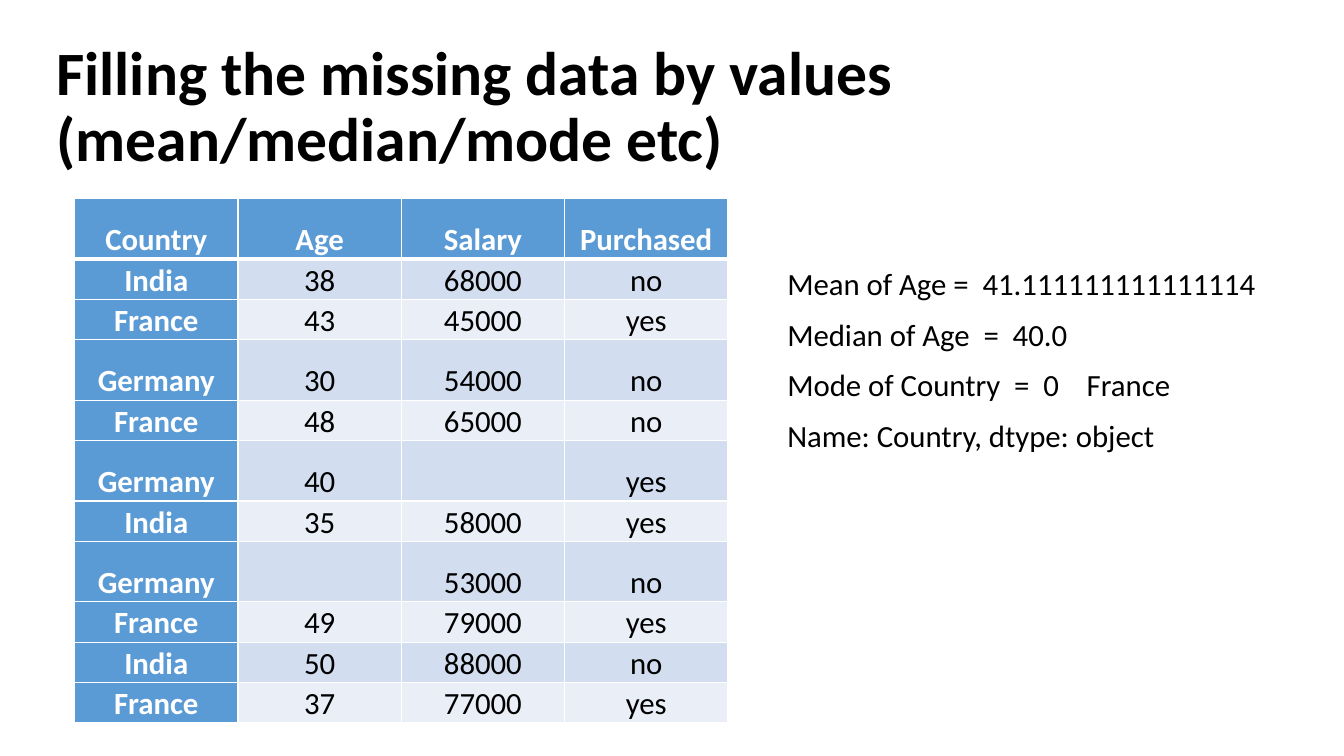
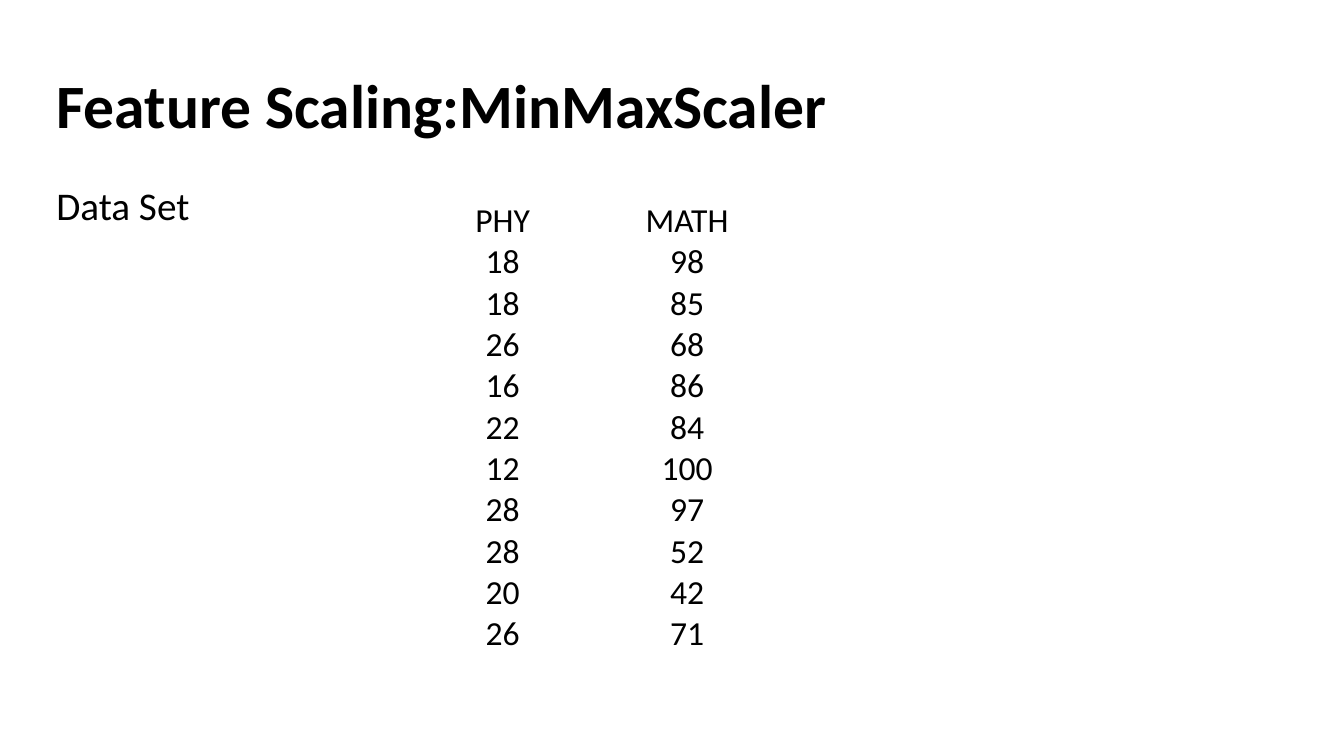
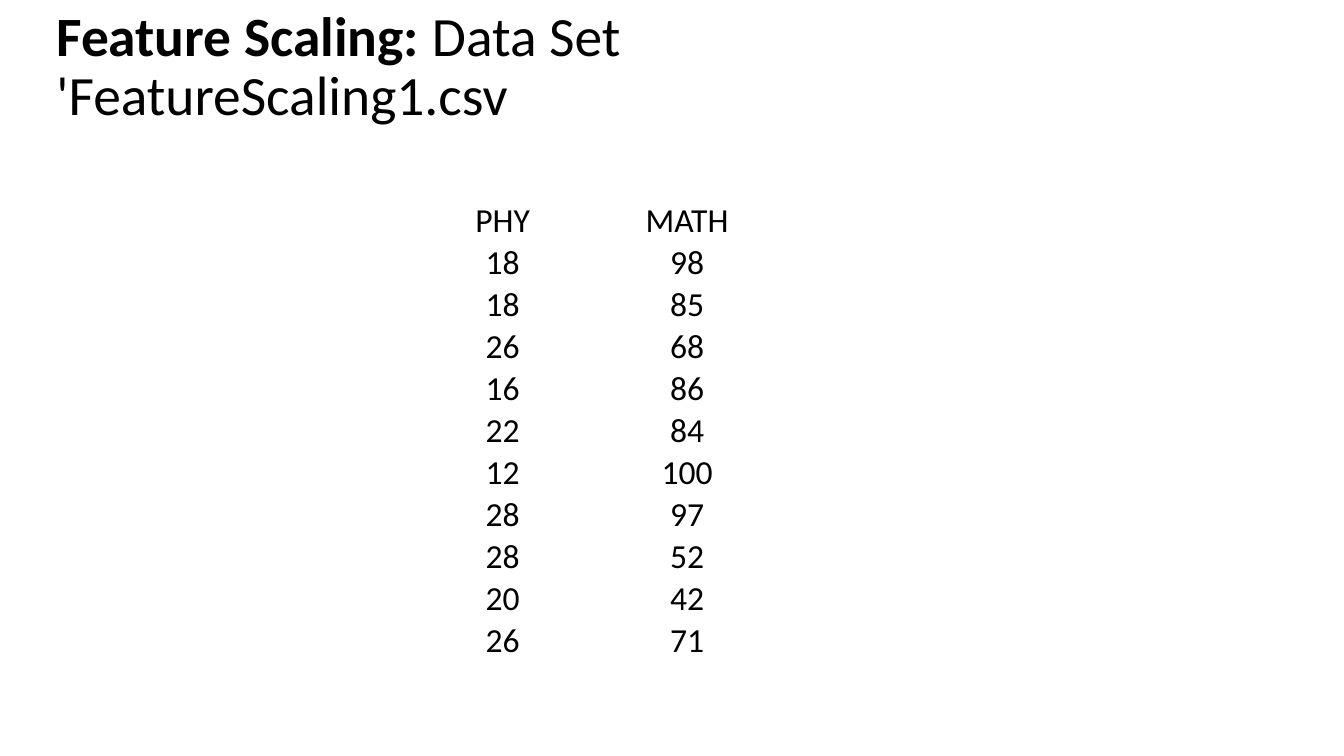
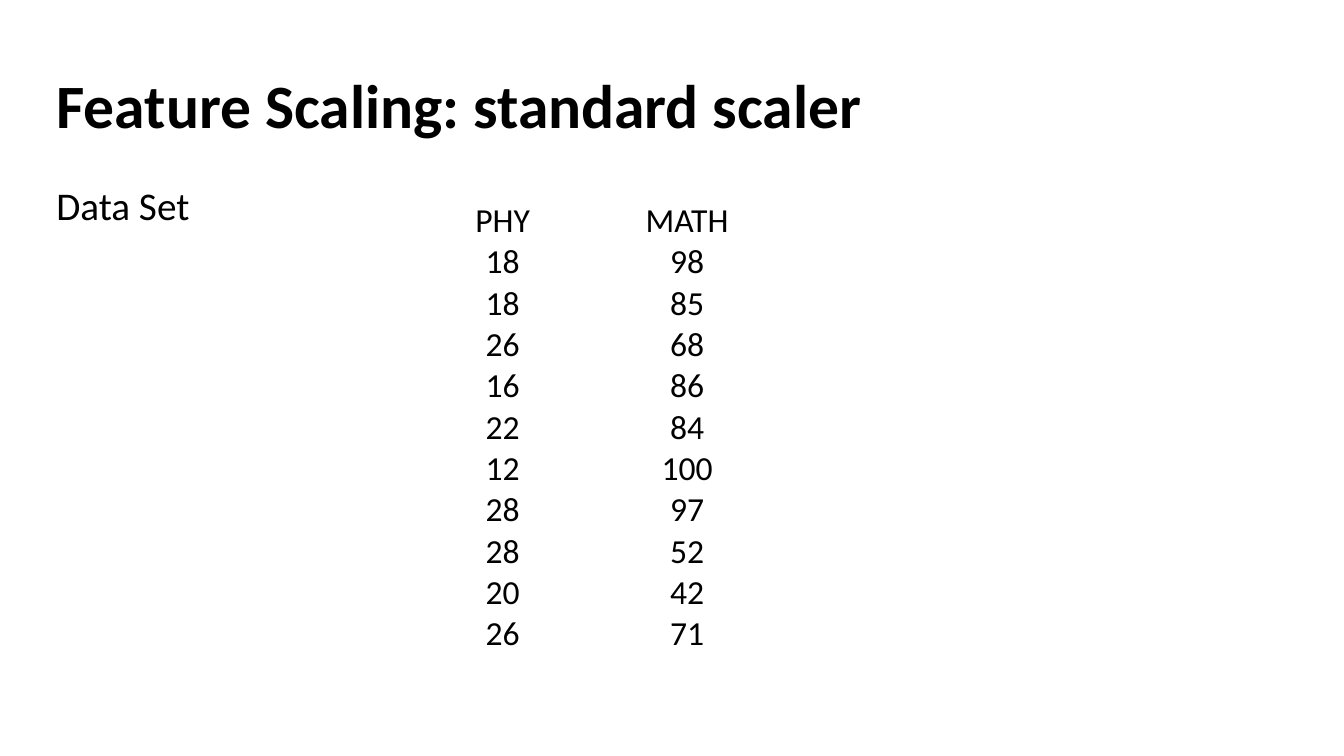
from pptx import Presentation
from pptx.dml.color import RGBColor
from pptx.enum.text import MSO_ANCHOR as Anchor, MSO_AUTO_SIZE as AutoSize, PP_ALIGN as Align
from pptx.oxml import parse_xml
from pptx.oxml.ns import nsdecls
from pptx.util import Inches, Pt

BLACK = RGBColor(0x00, 0x00, 0x00)
WHITE = RGBColor(0xFF, 0xFF, 0xFF)
BLUE = RGBColor(0x5B, 0x9B, 0xD5)
BANDS = (RGBColor(0xEA, 0xEF, 0xF7), RGBColor(0xD2, 0xDE, 0xEF))

PEOPLE = [
    ("Country", "Age", "Salary", "Purchased"),
    ("India", "38", "68000", "no"),
    ("France", "43", "45000", "yes"),
    ("Germany", "30", "54000", "no"),
    ("France", "48", "65000", "no"),
    ("Germany", "40", "", "yes"),
    ("India", "35", "58000", "yes"),
    ("Germany", "", "53000", "no"),
    ("France", "49", "79000", "yes"),
    ("India", "50", "88000", "no"),
    ("France", "37", "77000", "yes"),
]
MARKS = [
    ("PHY", "MATH"), ("18", "98"), ("18", "85"), ("26", "68"), ("16", "86"), ("22", "84"),
    ("12", "100"), ("28", "97"), ("28", "52"), ("20", "42"), ("26", "71"),
]
STATISTICS = [
    "Mean of Age =  41.111111111111114",
    "Median of Age  =  40.0",
    "Mode of Country  =  0    France",
    "Name: Country, dtype: object",
]


class DeckBuilder:
    font_name = "Calibri"
    left = 0.46

    def __init__(self):
        self.deck = Presentation()
        self.deck.slide_width, self.deck.slide_height = Inches(13.33), Inches(7.5)
        self.slide = None

    def style(self, para, size, color=BLACK, bold=False, align=Align.LEFT, line=1.0):
        para.alignment = align
        para.line_spacing = line
        for span in para.runs:
            font = span.font
            font.name, font.size, font.bold = self.font_name, Pt(size), bold
            font.color.rgb = color

    def new_slide(self, title, size=44, top=0.35):
        """Start a slide and return its title shape."""
        self.slide = self.deck.slides.add_slide(self.deck.slide_layouts[5])
        box = self.slide.shapes.title
        box.left, box.top = Inches(self.left), Inches(top)
        box.width, box.height = Inches(10.2), Inches(1.8 - top)
        frame = box.text_frame
        frame.text = title
        frame.word_wrap = True
        frame.auto_size = AutoSize.NONE
        frame.vertical_anchor = Anchor.MIDDLE
        self.style(frame.paragraphs[0], size, bold=True, line=0.9)
        return box

    def text(self, lines, left, top, width, height, size, line, before=0, after=0):
        box = self.slide.shapes.add_textbox(Inches(left), Inches(top), Inches(width), Inches(height))
        frame = box.text_frame
        frame.word_wrap = True
        frame.text = "\n".join(lines)
        for para in frame.paragraphs:
            self.style(para, size, line=line)
            para.space_before, para.space_after = Pt(before), Pt(after)

    def data_set_label(self):
        self.text(["Data Set"], self.left, 1.8, 12.31, 4.76, size=28, line=0.9, before=10)

    def table(self, rows, left, top, column_width, heights):
        frame = self.slide.shapes.add_table(
            len(rows), len(rows[0]), Inches(left), Inches(top),
            Inches(column_width * len(rows[0])), Inches(sum(heights)))
        table = frame.table
        for column in table.columns:
            column.width = Inches(column_width)
        for row, height in zip(table.rows, heights):
            row.height = Inches(height)
        return table

    def fill_cell(self, cell, text, size, margins, **style):
        cell.text = text
        cell.vertical_anchor = Anchor.BOTTOM
        cell.margin_left = cell.margin_right = Inches(margins[0])
        cell.margin_top, cell.margin_bottom = Inches(margins[1]), 0
        self.style(cell.text_frame.paragraphs[0], size, align=Align.CENTER, **style)

    def border_cell(self, cell, bottom):
        """Draw white borders; they must precede the fill in the cell's XML."""
        properties = cell._tc.get_or_add_tcPr()
        for side, width in (("L", 1), ("R", 1), ("T", 1), ("B", bottom)):
            properties.append(parse_xml(
                f'<a:ln{side} {nsdecls("a")} w="{Pt(width)}"><a:solidFill>'
                f'<a:srgbClr val="{WHITE}"/></a:solidFill></a:ln{side}>'))

    def people_table(self):
        heights = [0.6 if row[0] in ("Country", "Germany") else 0.4 for row in PEOPLE]
        table = self.table(PEOPLE, 0.74, 1.97, 1.62, heights)
        table.first_col = True
        for r, row in enumerate(PEOPLE):
            for c, text in enumerate(row):
                cell = table.cell(r, c)
                heading = r == 0 or c == 0
                self.fill_cell(cell, text, 22, (0.07, 0), bold=heading,
                               color=WHITE if heading else BLACK, line=1.07)
                self.border_cell(cell, bottom=3 if r == 0 else 1)
                cell.fill.solid()
                cell.fill.fore_color.rgb = BLUE if heading else BANDS[r % 2]

    def marks_table(self):
        table = self.table(MARKS, 4.07, 1.98, 1.83, [0.41] * len(MARKS))
        table.first_row = table.horz_banding = False
        for r, row in enumerate(MARKS):
            for c, text in enumerate(row):
                cell = table.cell(r, c)
                self.fill_cell(cell, text, 24, (0.01, 0.01))
                cell.fill.background()


def main():
    builder = DeckBuilder()

    builder.new_slide("Filling the missing data by values (mean/median/mode etc)")
    builder.people_table()
    builder.text(STATISTICS, 7.71, 2.55, 5.05, 2, size=22, line=1.07, after=8)

    builder.new_slide("Feature Scaling:MinMaxScaler")
    builder.data_set_label()
    builder.marks_table()

    size = 39.6
    title = builder.new_slide("Feature Scaling: ", size=size, top=0.15)
    title.text_frame.margin_bottom = Inches(0.65)
    para = title.text_frame.paragraphs[0]
    for index, text in enumerate(("Data Set ", "'FeatureScaling1.csv")):
        if index:
            para.add_line_break()
        para.add_run().text = text
    builder.style(para, size, line=0.9)
    para.runs[0].font.bold = True
    builder.marks_table()

    builder.new_slide("Feature Scaling: standard scaler")
    builder.data_set_label()
    builder.marks_table()

    builder.deck.save("out.pptx")


if __name__ == "__main__":
    main()
